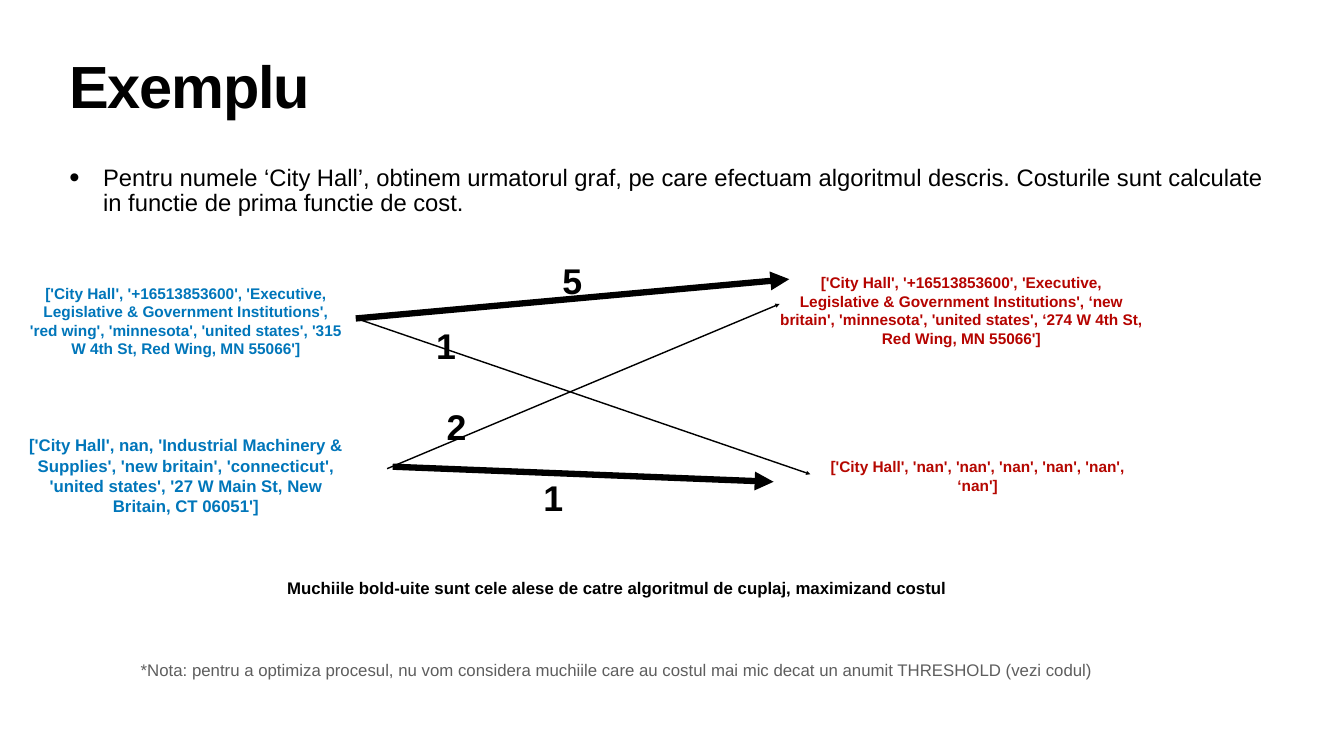
from lxml.etree import SubElement
from pptx import Presentation
from pptx.dml.color import RGBColor
from pptx.enum.shapes import MSO_CONNECTOR
from pptx.enum.text import MSO_ANCHOR, MSO_AUTO_SIZE, PP_ALIGN
from pptx.oxml.ns import qn
from pptx.util import Cm, Pt

BLACK = RGBColor(0x00, 0x00, 0x00)
BLUE = RGBColor(0x00, 0x76, 0xBA)
RED = RGBColor(0xB5, 0x04, 0x00)
DARK_RED = RGBColor(0xB5, 0x07, 0x00)
GREY = RGBColor(0x5E, 0x5E, 0x5E)
FONT = "Arial"

# Content: positions and sizes in centimetres
TITLE = "Exemplu"
INTRO = ("Pentru numele ‘City Hall’, obtinem urmatorul graf, pe care efectuam "
         "algoritmul descris. Costurile sunt calculate in functie de prima "
         "functie de cost.")

# (text, box, font size, colour)
RECORDS = [
    ("['City Hall', '+16513853600', 'Executive, Legislative & Government "
     "Institutions', 'red wing', 'minnesota', 'united states', "
     "'315 W 4th St, Red Wing, MN 55066']",
     (1.3, 14.15, 16.13, 4.06), 22, BLUE),
    ("['City Hall', nan, 'Industrial Machinery & Supplies', 'new britain', "
     "'connecticut', 'united states', '27 W Main St, New Britain, CT 06051']",
     (1.3, 21.79, 16.13, 4.34), 24, BLUE),
    ("['City Hall', '+16513853600', 'Executive, Legislative & Government "
     "Institutions', ‘new britain', 'minnesota', 'united states', "
     "‘274 W 4th St, Red Wing, MN 55066']",
     (39.17, 13.61, 18.57, 4.06), 22, RED),
    ("['City Hall', 'nan', 'nan', 'nan', 'nan', 'nan', ‘nan']",
     (41.35, 22.89, 15.85, 2.16), 22, DARK_RED),
]

# (start, end, line width, cost, top left of the cost)
THIN, BOLD = 2, 9
EDGES = [
    ((19.51, 23.62), (39.29, 15.32), THIN, "2", (22.35, 20.27)),
    ((17.96, 16.05), (40.84, 23.9), THIN, "1", (21.82, 16.18)),
    ((17.93, 16.05), (39.78, 14.07), BOLD, "5", (28.19, 12.93)),
    ((19.79, 23.52), (38.99, 24.28), BOLD, "1", (27.23, 23.85)),
]
COST_SIZE = (1.32, 2.41)

# (text, box, colour, bold)
NOTES = [
    ("Muchiile bold-uite sunt cele alese de catre algoritmul de cuplaj, "
     "maximizand costul", (14.25, 28.98, 33.66, 1.27), BLACK, True),
    ("*Nota: pentru a optimiza procesul, nu vom considera muchiile care au "
     "costul mai mic decat un anumit THRESHOLD (vezi codul)",
     (6.83, 33.1, 48.46, 1.27), GREY, False),
]


def write(sp, text, size, color, bold, align, anchor, wrap=True):
    tf = sp.text_frame
    tf.word_wrap = wrap
    tf.auto_size = MSO_AUTO_SIZE.NONE
    tf.vertical_anchor = anchor
    tf.margin_left = tf.margin_right = Cm(0.15)
    tf.margin_top = tf.margin_bottom = Cm(0.15)
    p = tf.paragraphs[0]
    p.alignment = align
    r = p.add_run()
    r.text = text
    r.font.name, r.font.size, r.font.bold = FONT, Pt(size), bold
    r.font.color.rgb = color
    return p, r


def add_text(s, text, box, size, color, bold=True, align=PP_ALIGN.CENTER,
             anchor=MSO_ANCHOR.MIDDLE, wrap=True):
    sp = s.shapes.add_textbox(*map(Cm, box))
    return write(sp, text, size, color, bold, align, anchor, wrap)


def add_arrow(s, start, end, width):
    line = s.shapes.add_connector(MSO_CONNECTOR.STRAIGHT,
                                  *map(Cm, start + end))
    line.line.color.rgb = BLACK
    line.line.width = Pt(width)
    SubElement(line.line._get_or_add_ln(), qn("a:tailEnd"), type="triangle")
    SubElement(line._element.spPr, qn("a:effectLst"))


def main():
    prs = Presentation()
    prs.slide_width, prs.slide_height = Cm(67.74), Cm(38.1)
    s = prs.slides.add_slide(prs.slide_layouts[5])

    # Title
    title = s.shapes.title
    title.left, title.top, title.width, title.height = map(
        Cm, (3.35, 3, 61.04, 3.99))
    p, r = write(title, TITLE, 85, BLACK, True, PP_ALIGN.LEFT, MSO_ANCHOR.TOP)
    p.line_spacing = 0.8
    r.font._element.set("spc", "-170")

    # Bulleted introduction
    p, r = add_text(s, INTRO, (3.35, 8.2, 61.04, 4), 34, BLACK, False,
                    PP_ALIGN.LEFT, MSO_ANCHOR.TOP)
    p.line_spacing = 0.9
    pPr = p._p.get_or_add_pPr()
    pPr.set("marL", str(Cm(1.7)))
    pPr.set("indent", str(-Cm(1.7)))
    SubElement(pPr, qn("a:buSzPct"), val="123000")
    SubElement(pPr, qn("a:buFont"), typeface=FONT)
    SubElement(pPr, qn("a:buChar"), char="•")

    # Graph: records, edges and costs
    for text, box, size, color in RECORDS:
        add_text(s, text, box, size, color)
    for start, end, width, cost, corner in EDGES:
        add_arrow(s, start, end, width)
        add_text(s, cost, corner + COST_SIZE, 51, BLACK, wrap=False)

    # Notes below the graph
    for text, box, color, bold in NOTES:
        add_text(s, text, box, 24, color, bold, wrap=False)

    prs.save("out.pptx")


if __name__ == "__main__":
    main()
